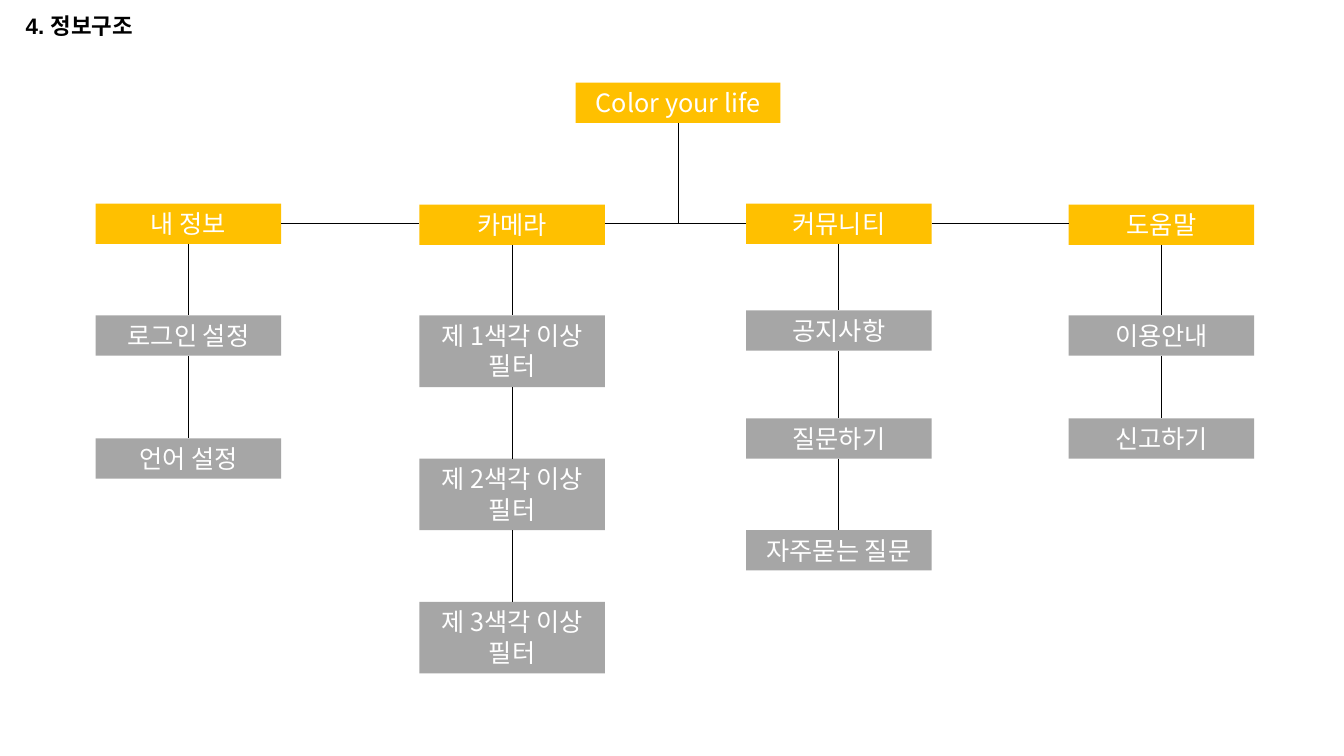
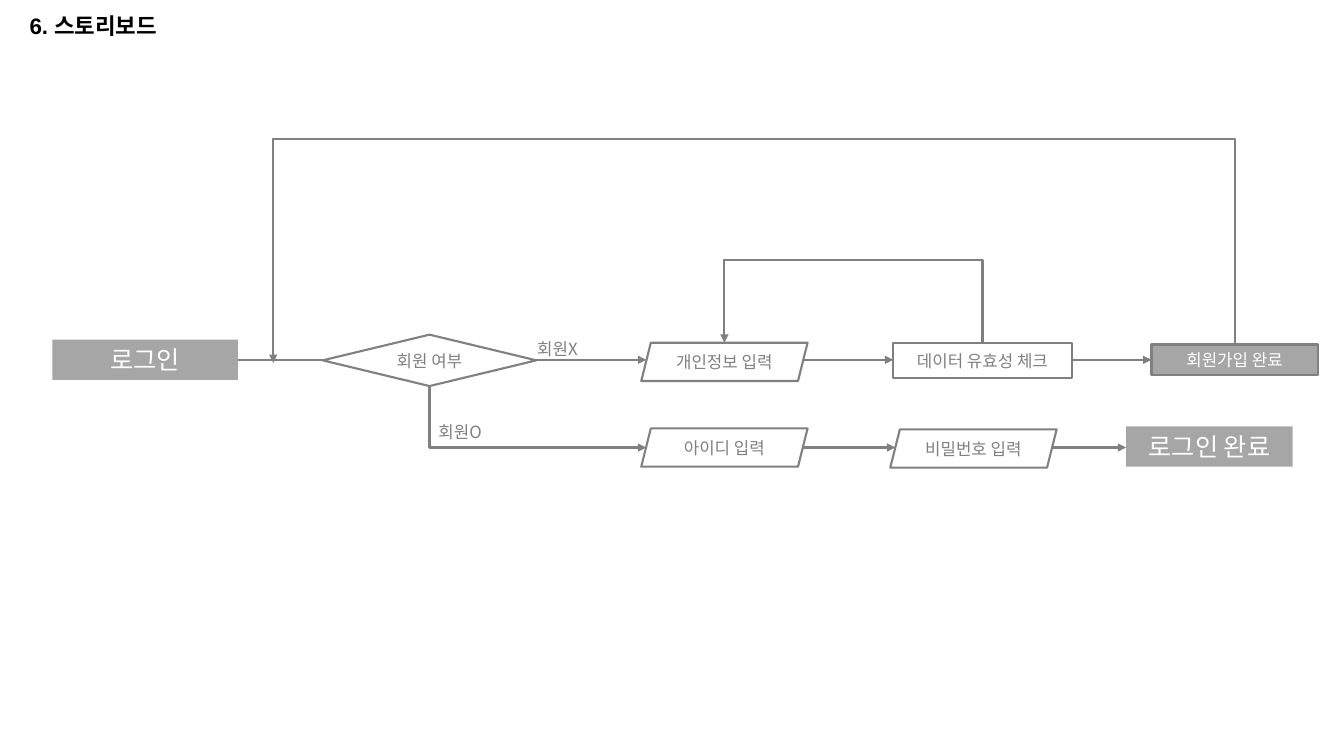
from dataclasses import dataclass
from itertools import pairwise
from typing import NamedTuple, Optional

from lxml import etree
from pptx import Presentation
from pptx import util as u
from pptx.dml.color import RGBColor
from pptx.enum import shapes, text
from pptx.oxml.ns import qn

# Shared look
AMBER = RGBColor(0xFF, 0xC0, 0x00)
SILVER = RGBColor(0xA6, 0xA6, 0xA6)
GRAY = RGBColor(0x80, 0x80, 0x80)
BLACK = RGBColor(0x00, 0x00, 0x00)
WHITE = RGBColor(0xFF, 0xFF, 0xFF)
BODY_FONT = "Noto Sans CJK KR"
TITLE_FONT = "Arial"
BOX_H = 0.4
SHAPE = shapes.MSO_SHAPE
TOP, MIDDLE = text.MSO_ANCHOR.TOP, text.MSO_ANCHOR.MIDDLE
CENTER, LEFT = text.PP_ALIGN.CENTER, text.PP_ALIGN.LEFT


class Point(NamedTuple):
    x: float
    y: float


@dataclass
class Box:
    text: str
    x: float
    y: float
    w: float
    h: float = BOX_H
    kind: SHAPE = SHAPE.RECTANGLE
    fill: Optional[RGBColor] = SILVER
    color: RGBColor = WHITE
    size: float = 18
    border: float = 0
    anchor: text.MSO_ANCHOR = TOP

    @property
    def center(self) -> float:
        return self.x + self.w / 2

    @property
    def bottom(self) -> float:
        return self.y + self.h


@dataclass
class Column:
    x: float
    head: str
    head_y: float
    items: list[tuple[str, float]]
    item_h: float = BOX_H


def set_attrs(obj, values: dict) -> None:
    for name, value in values.items():
        setattr(obj, name, value)


def write(tf, content: str, size: float, color: RGBColor, font: str = BODY_FONT,
          align=CENTER, bold: bool = False) -> None:
    p = tf.paragraphs[0]
    p.alignment = align
    r = p.add_run()
    r.text = content
    set_attrs(r.font, {"name": font, "size": u.Pt(size), "bold": bold})
    r.font.color.rgb = color
    east_asian = etree.SubElement(r.font._element, qn("a:ea"))
    east_asian.set("typeface", font)


def add_slide(prs, title: str, width: float):
    s = prs.slides.add_slide(prs.slide_layouts[5])
    sp = s.shapes.title
    set_attrs(sp, {"left": u.Inches(-0.05), "top": u.Inches(0.09),
                   "width": u.Inches(width), "height": u.Inches(0.32)})
    tf = sp.text_frame
    set_attrs(tf, {"vertical_anchor": MIDDLE, "word_wrap": True,
                   "auto_size": text.MSO_AUTO_SIZE.NONE})
    write(tf, title, 16, BLACK, TITLE_FONT, bold=True)
    return s


def add_box(s, box: Box) -> None:
    sp = s.shapes.add_shape(box.kind, *map(u.Inches, (box.x, box.y, box.w, box.h)))
    sp.shadow.inherit = False
    if box.fill is None:
        sp.fill.background()
    else:
        sp.fill.solid()
        sp.fill.fore_color.rgb = box.fill
    if box.border:
        style_line(sp, GRAY, box.border)
    else:
        sp.line.fill.background()
    set_attrs(sp.text_frame, {"word_wrap": True, "vertical_anchor": box.anchor})
    write(sp.text_frame, box.text, box.size, box.color)


def add_label(s, content: str, x: float, y: float, w: float) -> None:
    sp = s.shapes.add_textbox(*map(u.Inches, (x, y, w, 0.3)))
    sp.text_frame.word_wrap = False
    write(sp.text_frame, content, 12, GRAY, align=LEFT)


def style_line(sp, color: RGBColor, width: float, arrow: bool = False) -> None:
    sp.line.color.rgb = color
    sp.line.width = u.Pt(width)
    if arrow:
        ln = sp._element.spPr.find(qn("a:ln"))
        etree.SubElement(ln, qn("a:tailEnd")).set("type", "triangle")


def add_line(s, start: Point, end: Point, color: RGBColor = GRAY,
             width: float = 1.5, arrow: bool = False) -> None:
    c = s.shapes.add_connector(shapes.MSO_CONNECTOR.STRAIGHT,
                               *map(u.Inches, (*start, *end)))
    style_line(c, color, width, arrow)
    etree.SubElement(c._element.spPr, qn("a:effectLst"))


def add_route(s, points: list[Point]) -> None:
    """Draw one right-angled arrow through the points."""
    start, *rest = [(u.Inches(p.x), u.Inches(p.y)) for p in points]
    builder = s.shapes.build_freeform(*start)
    builder.add_line_segments(rest, close=False)
    sp = builder.convert_to_shape()
    sp.shadow.inherit = False
    sp.fill.background()
    style_line(sp, GRAY, 1.5, arrow=True)


def build_structure(prs) -> None:
    s = add_slide(prs, "4. 정보구조", 1.67)
    col_w, bus_y = 1.84, 2.22
    columns = [
        Column(0.95, "내 정보", 2.02, [("로그인 설정", 3.13), ("언어 설정", 4.35)]),
        Column(4.16, "카메라", 2.03,
               [(f"제 {n}색각 이상 필터", 3.13 + 1.42 * (n - 1)) for n in (1, 2, 3)],
               item_h=0.71),
        Column(7.4, "커뮤니티", 2.02,
               [("공지사항", 3.08), ("질문하기", 4.15), ("자주묻는 질문", 5.26)]),
        Column(10.6, "도움말", 2.03, [("이용안내", 3.13), ("신고하기", 4.15)]),
    ]
    root = Box("Color your life", 5.71, 0.82, 2.03, fill=AMBER)
    add_box(s, root)

    # Columns and their vertical links
    for col in columns:
        boxes = [Box(col.head, col.x, col.head_y, col_w, fill=AMBER)]
        boxes += [Box(name, col.x, y, col_w, col.item_h) for name, y in col.items]
        for box in boxes:
            add_box(s, box)
        for upper, lower in pairwise(boxes):
            add_line(s, Point(upper.center, upper.bottom),
                     Point(lower.center, lower.y), BLACK, 0.5)

    # Links between the heads and up to the root
    for a, b in pairwise(columns):
        add_line(s, Point(a.x + col_w, bus_y), Point(b.x, bus_y), BLACK, 0.5)
    add_line(s, Point(root.center, root.bottom), Point(root.center, bus_y), BLACK, 0.5)


def build_storyboard(prs) -> None:
    s = add_slide(prs, "6. 스토리보드", 1.95)
    outlined = {"fill": None, "color": GRAY, "size": 12, "border": 1.5, "anchor": MIDDLE}
    entry = {"w": 1.65, "h": 0.38, "kind": SHAPE.PARALLELOGRAM, **outlined}

    # Steps
    login = Box("로그인", 0.52, 3.37, 1.84)
    member = Box("회원 여부", 3.2, 3.32, 2.12, 0.51, SHAPE.DIAMOND, **outlined)
    profile = Box("개인정보 입력", 6.36, 3.4, **entry)
    check = Box("데이터 유효성 체크", 8.86, 3.4, 1.77, 0.35, **outlined)
    joined = Box("회원가입 완료", 11.42, 3.42, 1.65, 0.3, size=12, border=1.75)
    user_id = Box("아이디 입력", 6.36, 4.25, **entry)
    password = Box("비밀번호 입력", 8.83, 4.26, **entry)
    done = Box("로그인 완료", 11.17, 4.23, 1.65)
    for box in (login, member, profile, check, joined, user_id, password, done):
        add_box(s, box)

    # Straight links; slanted sides are met at mid height
    slant = 0.05
    upper_y, lower_y = 3.57, 4.44
    add_line(s, Point(login.x + login.w, upper_y), Point(member.x, upper_y))
    for x1, x2, y in (
        (member.x + member.w, profile.x + slant, upper_y),
        (profile.x + profile.w - slant, check.x, upper_y),
        (check.x + check.w, joined.x, upper_y),
        (user_id.x + user_id.w - slant, password.x + slant, lower_y),
        (password.x + password.w - slant, done.x, lower_y),
    ):
        add_line(s, Point(x1, y), Point(x2, y), arrow=True)

    # Right-angled links
    add_route(s, [Point(member.center, member.bottom), Point(member.center, lower_y),
                  Point(user_id.x + slant, lower_y)])
    for start, end, rail_y in (
        (Point(joined.center, joined.y), Point(2.71, 3.6), 1.38),
        (Point(check.center, check.y), Point(profile.center, profile.y), 2.58),
    ):
        add_route(s, [start, Point(start.x, rail_y), Point(end.x, rail_y), end])

    # Branch labels
    add_label(s, "회원X", 5.23, 3.31, 0.64)
    add_label(s, "회원O", 4.25, 4.13, 0.67)


def main() -> None:
    prs = Presentation()
    set_attrs(prs, {"slide_width": u.Inches(13.33), "slide_height": u.Inches(7.5)})
    build_structure(prs)
    build_storyboard(prs)
    prs.save("out.pptx")


if __name__ == "__main__":
    main()
